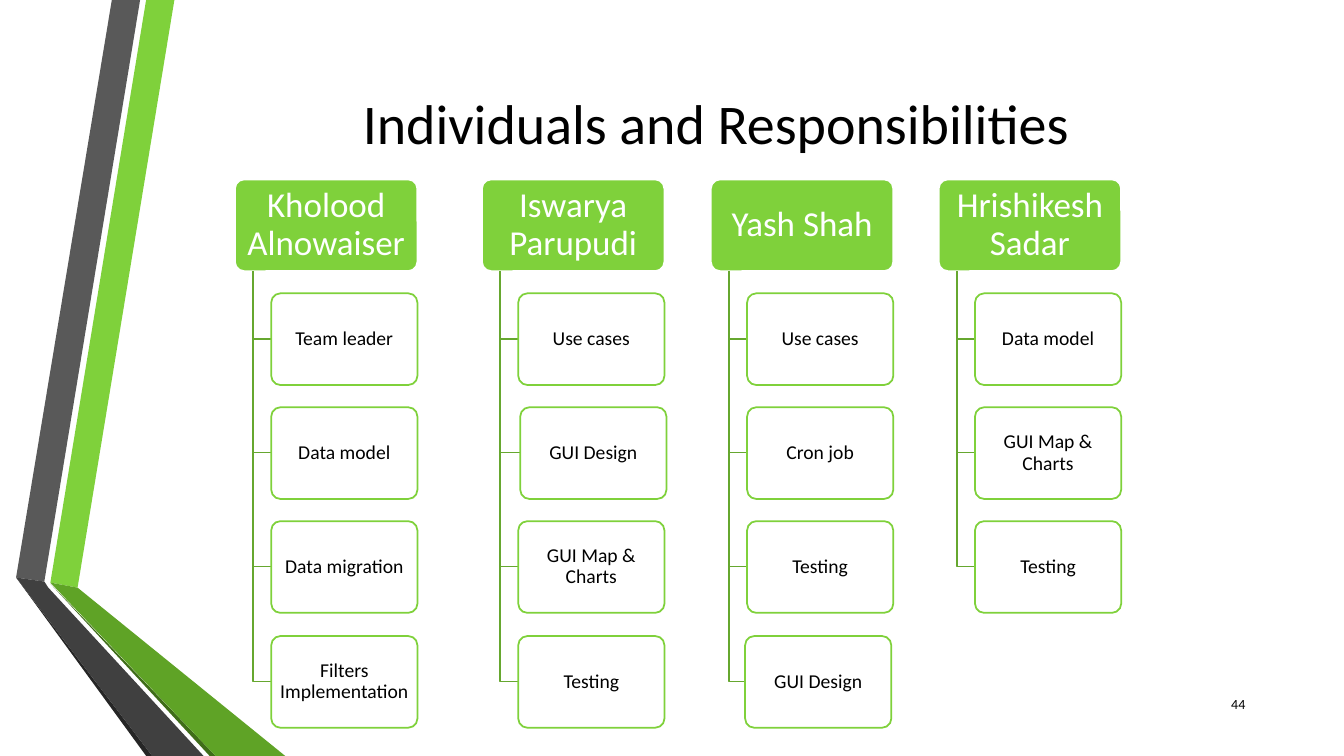
"""Build the team responsibilities slide."""
from lxml.etree import SubElement
from pptx import Presentation
from pptx.dml.color import RGBColor
from pptx.enum.shapes import MSO_SHAPE as Preset
from pptx.enum.text import MSO_ANCHOR as Anchor, MSO_AUTO_SIZE as AutoSize, PP_ALIGN as Align
from pptx.oxml.ns import qn
from pptx.util import Pt

PX = 9144
FONT = "Calibri"
COLORS = {
    "white": "FFFFFF",
    "black": "000000",
    "green": "7FD13B",
    "line_green": "66A72F",
    "deep_green": "5FA326",
    "shadow_green": "3F6D19",
    "gray": "595959",
    "deep_gray": "404040",
    "shadow_gray": "262626",
}
RIBBONS = [
    ("green", [(50, 578), (77, 583), (173, 0), (145, 0)]),
    ("gray", [(139, 0), (111, 0), (16, 573), (44, 577)]),
    ("shadow_gray", [(16, 573), (145, 750), (151, 750)]),
    ("shadow_green", [(50, 579), (208, 750), (214, 750)]),
    ("deep_green", [(50, 578), (214, 750), (283, 750), (77, 583)]),
    ("deep_gray", [(202, 750), (48, 583), (44, 577), (16, 573), (151, 750)]),
]
MEMBERS = [
    (233, "Kholood Alnowaiser", ["Team leader", "Data model", "Data migration", "Filters Implementation"]),
    (478, "Iswarya Parupudi", ["Use cases", "GUI Design", "GUI Map & Charts", "Testing"]),
    (705, "Yash Shah", ["Use cases", "Cron job", "Testing", "GUI Design"]),
    (931, "Hrishikesh Sadar", ["Data model", "GUI Map & Charts", "Testing"]),
]
CARD_SHIFTS = {("Iswarya Parupudi", 1): 2, ("Yash Shah", 3): -2}
HEADER_TOP, HEADER_WIDTH, BOX_HEIGHT = 178, 181, 91
CARD_TOP, CARD_WIDTH, CARD_INDENT = 291, 145, 36
TRUNK_INDENT = 18
CARD_SPAN = 340


def color(name):
    """Return the named color of the palette."""
    return RGBColor.from_string(COLORS[name])


def place(shape, left, top, width, height):
    """Move and size a shape in px."""
    shape.left, shape.top = left * PX, top * PX
    shape.width, shape.height = width * PX, height * PX


def write_text(shape, text, size, ink="black", align=Align.CENTER, spacing=1.0, insets=(10, 5)):
    """Fill a shape with one formatted paragraph."""
    frame = shape.text_frame
    frame.word_wrap = True
    frame.auto_size = AutoSize.NONE
    frame.vertical_anchor = Anchor.MIDDLE
    frame.margin_left = frame.margin_right = insets[0] * PX
    frame.margin_top = frame.margin_bottom = insets[1] * PX
    paragraph = frame.paragraphs[0]
    paragraph.alignment = align
    paragraph.line_spacing = spacing
    run = paragraph.add_run()
    run.text = text
    run.font.name = FONT
    run.font.size = Pt(size)
    run.font.color.rgb = color(ink)


def add_outline(slide, points, close):
    """Add a freeform through points given in px."""
    builder = slide.shapes.build_freeform(*points[0], scale=PX)
    builder.add_line_segments(points[1:], close=close)
    shape = builder.convert_to_shape()
    shape.shadow.inherit = False
    return shape


def add_ribbon(slide, fill, points):
    """Add one filled piece of the side ribbon."""
    ribbon = add_outline(slide, points, close=True)
    ribbon.fill.solid()
    ribbon.fill.fore_color.rgb = color(fill)
    ribbon.line.fill.background()


def add_branch(slide, trunk, card_left, card_middle):
    """Add the elbow line from a header down to a card."""
    points = [(trunk, HEADER_TOP + BOX_HEIGHT), (trunk, card_middle), (card_left, card_middle)]
    branch = add_outline(slide, points, close=False)
    branch.fill.background()
    branch.line.color.rgb = color("line_green")
    branch.line.width = Pt(1.25)


def add_box(slide, left, top, width, fill, line):
    """Add a rounded box with a thin border."""
    box = slide.shapes.add_shape(Preset.ROUNDED_RECTANGLE, 0, 0, 0, 0)
    place(box, left, top, width, BOX_HEIGHT)
    box.adjustments[0] = 0.1
    box.shadow.inherit = False
    box.fill.solid()
    box.fill.fore_color.rgb = color(fill)
    box.line.color.rgb = color(line)
    box.line.width = Pt(1.25)
    return box


def set_opacity(shape, percent):
    """Make the solid fill of a shape partly transparent."""
    fill_color = shape.fill._xPr.find(qn("a:solidFill"))[0]
    SubElement(fill_color, qn("a:alpha")).set("val", str(percent * 1000))


def add_member(slide, left, name, duties):
    """Add a member's header with the duties hanging below it."""
    header = add_box(slide, left, HEADER_TOP, HEADER_WIDTH, "green", "white")
    write_text(header, name, 25, ink="white", spacing=0.9, insets=(5, 3))
    for row, duty in enumerate(duties):
        card_left = left + CARD_INDENT + CARD_SHIFTS.get((name, row), 0)
        card_top = CARD_TOP + row * CARD_SPAN // 3
        add_branch(slide, left + TRUNK_INDENT, card_left, card_top + BOX_HEIGHT // 2)
        card = add_box(slide, card_left, card_top, CARD_WIDTH, "white", "green")
        set_opacity(card, 90)
        write_text(card, duty, 14, spacing=0.9, insets=(3, 2))


def main():
    """Build and save the slide."""
    presentation = Presentation()
    presentation.slide_width, presentation.slide_height = 1333 * PX, 750 * PX
    slide = presentation.slides.add_slide(presentation.slide_layouts[5])
    for fill, points in RIBBONS:
        add_ribbon(slide, fill, points)
    title = slide.shapes.title
    place(title, 162, 75, 1096, 92)
    write_text(title, "Individuals and Responsibilities", 40)
    for left, name, duties in MEMBERS:
        add_member(slide, left, name, duties)
    number = slide.shapes.add_textbox(0, 0, 0, 0)
    place(number, 1185, 678, 60, 40)
    write_text(number, "44", 10, align=Align.RIGHT)
    presentation.save("out.pptx")


if __name__ == "__main__":
    main()
